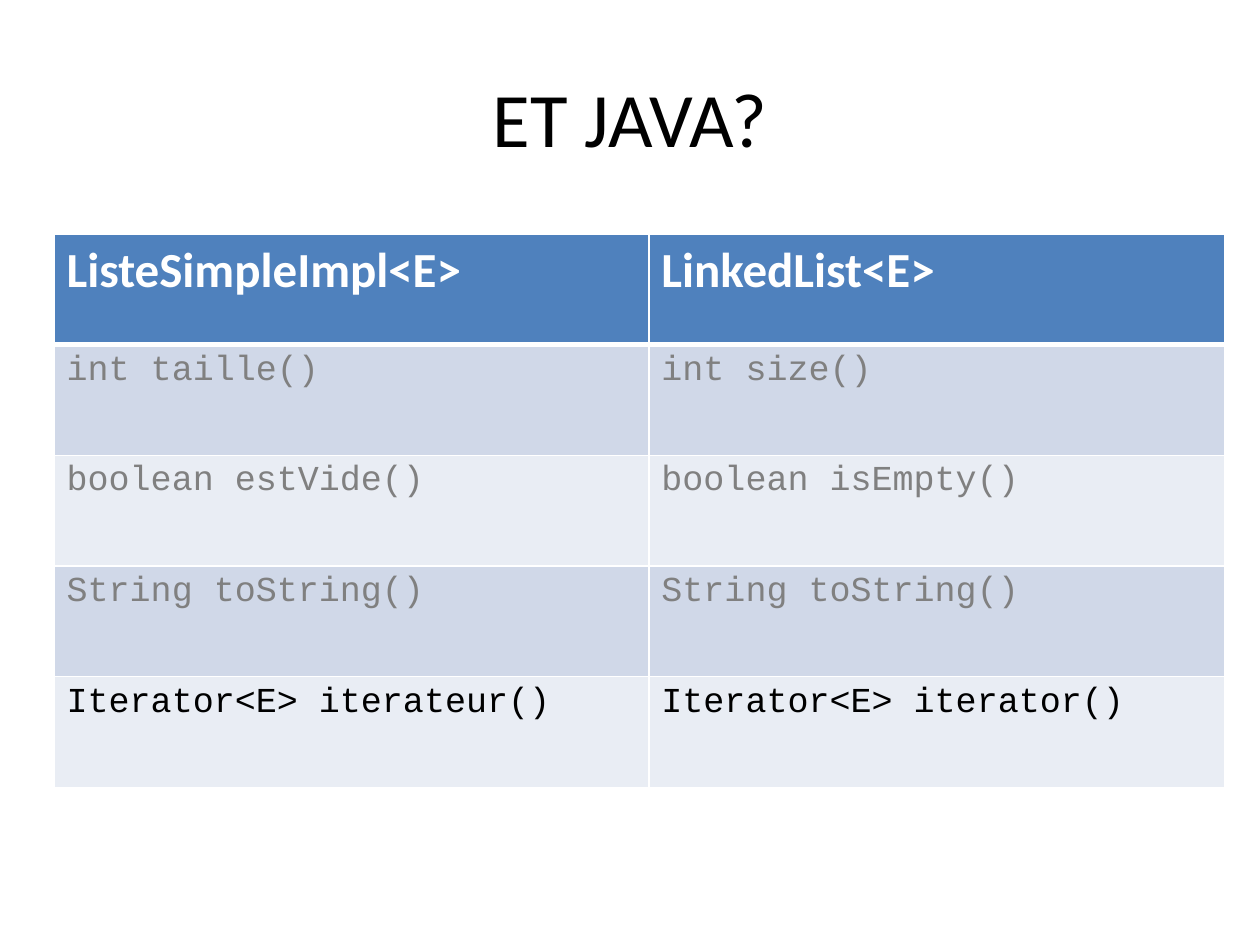
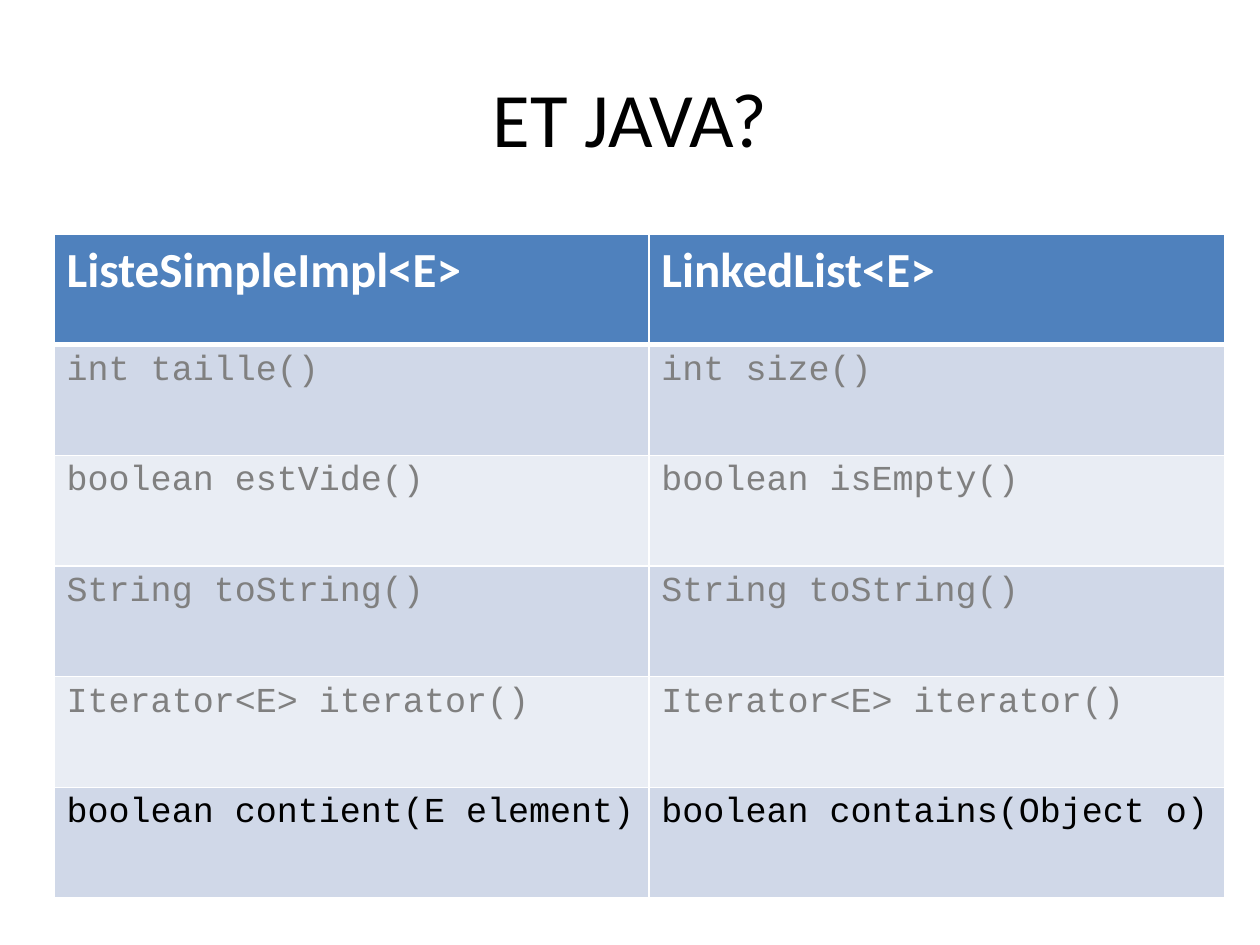
from lxml.etree import SubElement
from pptx import Presentation
from pptx.dml.color import RGBColor
from pptx.enum.text import MSO_ANCHOR, PP_ALIGN
from pptx.oxml.ns import qn
from pptx.util import Cm, Pt

# Shared style
BLACK = RGBColor(0x00, 0x00, 0x00)
WHITE = RGBColor(0xFF, 0xFF, 0xFF)
GREY = RGBColor(0x80, 0x80, 0x80)
HEADER_BLUE = RGBColor(0x4F, 0x81, 0xBD)
BAND_COLORS = (RGBColor(0xD0, 0xD8, 0xE8), RGBColor(0xE9, 0xED, 0xF4))
TEXT_FONT = "Calibri"
CODE_FONT = "Courier New"

# Table geometry
TABLE_LEFT, TABLE_TOP = Cm(1.09), Cm(4.72)
COLUMN_WIDTHS = (Cm(11.99), Cm(11.61))
ROW_HEIGHT = Cm(2.23)

# Content: the last method pair of each slide is the new one
TITLE = "ET JAVA?"
CLASSES = ("ListeSimpleImpl<E>", "LinkedList<E>")
KNOWN_METHODS = [
    ("int taille()", "int size()"),
    ("boolean estVide()", "boolean isEmpty()"),
    ("String toString()", "String toString()"),
]
ITERATOR_SLIDE = KNOWN_METHODS + [
    ("Iterator<E> iterateur()", "Iterator<E> iterator()"),
]
CONTAINS_SLIDE = KNOWN_METHODS + [
    ("Iterator<E> iterator()", "Iterator<E> iterator()"),
    ("boolean contient(E element)", "boolean contains(Object o)"),
]


def add_run(paragraph, text, font_name, size, color, bold=False):
    run = paragraph.add_run()
    run.text = text
    run.font.name = font_name
    run.font.size = Pt(size)
    run.font.bold = bold
    run.font.color.rgb = color


def add_title(slide, text):
    title = slide.shapes.title
    title.left, title.top = Cm(1.27), Cm(0.76)
    title.width, title.height = Cm(22.86), Cm(3.18)
    title.text_frame.vertical_anchor = MSO_ANCHOR.MIDDLE
    paragraph = title.text_frame.paragraphs[0]
    paragraph.alignment = PP_ALIGN.CENTER
    add_run(paragraph, text, TEXT_FONT, 44, BLACK)


def set_borders(cell, top=1, bottom=1):
    """Draw white cell borders; call before the fill is set."""
    properties = cell._tc.get_or_add_tcPr()
    widths = {"a:lnL": 1, "a:lnR": 1, "a:lnT": top, "a:lnB": bottom}
    for tag, width in widths.items():
        line = SubElement(properties, qn(tag), w=str(Pt(width)))
        fill = SubElement(line, qn("a:solidFill"))
        SubElement(fill, qn("a:srgbClr"), val=str(WHITE))


def fill_cell(cell, color):
    cell.fill.solid()
    cell.fill.fore_color.rgb = color


def add_method_table(slide, methods):
    row_count = len(methods) + 1
    table = slide.shapes.add_table(
        row_count, len(CLASSES), TABLE_LEFT, TABLE_TOP,
        sum(COLUMN_WIDTHS), ROW_HEIGHT * row_count).table
    for column, width in zip(table.columns, COLUMN_WIDTHS):
        column.width = width
    for row in table.rows:
        row.height = ROW_HEIGHT

    # Header row
    for cell, name in zip(table.rows[0].cells, CLASSES):
        set_borders(cell, bottom=3)
        fill_cell(cell, HEADER_BLUE)
        add_run(cell.text_frame.paragraphs[0], name, TEXT_FONT, 28, WHITE, bold=True)

    # Method rows, banded, with the new pair in black
    for index, pair in enumerate(methods):
        color = BLACK if index == len(methods) - 1 else GREY
        for cell, signature in zip(table.rows[index + 1].cells, pair):
            set_borders(cell, top=3 if index == 0 else 1)
            fill_cell(cell, BAND_COLORS[index % 2])
            add_run(cell.text_frame.paragraphs[0], signature, CODE_FONT, 20, color)


def main():
    presentation = Presentation()
    presentation.slide_width, presentation.slide_height = Cm(25.4), Cm(19.05)
    title_only = presentation.slide_layouts.get_by_name("Title Only")
    for methods in (ITERATOR_SLIDE, CONTAINS_SLIDE):
        slide = presentation.slides.add_slide(title_only)
        add_title(slide, TITLE)
        add_method_table(slide, methods)
    presentation.save("out.pptx")


if __name__ == "__main__":
    main()
